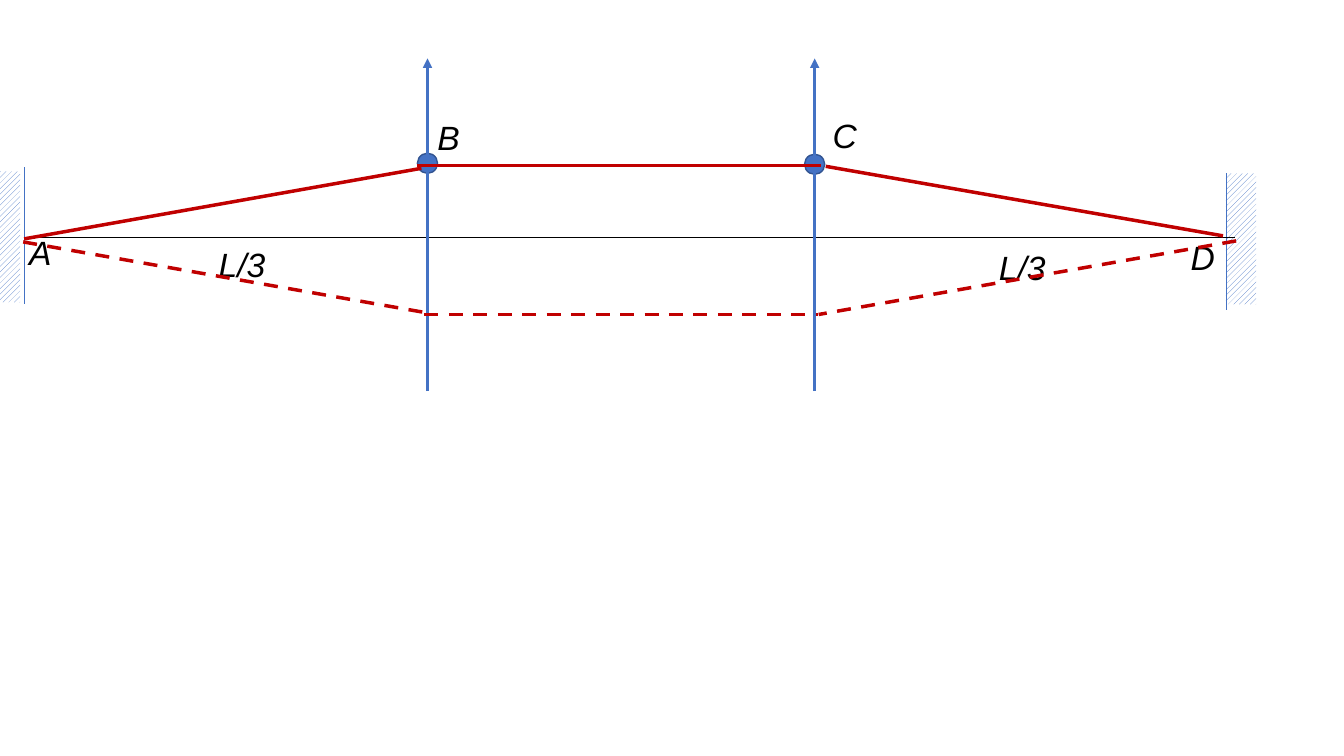
from dataclasses import dataclass

from lxml.etree import SubElement
from pptx import Presentation
from pptx.dml.color import RGBColor
from pptx.enum.dml import MSO_LINE, MSO_PATTERN
from pptx.enum.shapes import MSO_CONNECTOR, MSO_SHAPE
from pptx.enum.text import MSO_AUTO_SIZE
from pptx.oxml.ns import qn
from pptx.util import Inches, Pt


@dataclass(frozen=True)
class Theme:
    blue: RGBColor = RGBColor(0x44, 0x72, 0xC4)
    outline: RGBColor = RGBColor(0x32, 0x54, 0x91)
    red: RGBColor = RGBColor(0xC0, 0x00, 0x00)
    black: RGBColor = RGBColor(0x00, 0x00, 0x00)
    white: RGBColor = RGBColor(0xFF, 0xFF, 0xFF)
    font: str = "Arial"
    label_size: int = 24
    hairline: float = 0.5
    bead_line: float = 1
    axis_line: float = 2.25
    string_line: float = 2.5


class Diagram:
    def __init__(self, page, theme):
        self.page = page
        self.theme = theme

    def line(self, start, end, color, width, dash=None, arrow=False, group=None):
        shapes = (group or self.page).shapes
        points = [Inches(value) for value in (*start, *end)]
        connector = shapes.add_connector(MSO_CONNECTOR.STRAIGHT, *points)
        connector.line.color.rgb = color
        connector.line.width = Pt(width)
        if dash:
            connector.line.dash_style = dash
        properties = connector.element.spPr
        if arrow:
            SubElement(properties.find(qn("a:ln")), qn("a:tailEnd"), type="triangle")
        SubElement(properties, qn("a:effectLst"))

    def shape(self, kind, left, top, width, height):
        shape = self.page.shapes.add_shape(
            kind, Inches(left), Inches(top), Inches(width), Inches(height))
        shape.shadow.inherit = False
        return shape

    def wall(self, left, top, edge_x, edge_top):
        hatch = self.shape(MSO_SHAPE.RECTANGLE, left, top, 0.3, 1.3)
        hatch.fill.patterned()
        hatch.fill.pattern = MSO_PATTERN.WIDE_UPWARD_DIAGONAL
        hatch.fill.fore_color.rgb = self.theme.blue
        hatch.fill.back_color.rgb = self.theme.white
        hatch.line.fill.background()
        self.line((edge_x, edge_top), (edge_x, edge_top + 1.36),
                  self.theme.blue, self.theme.hairline)

    def bead(self, left, top):
        bead = self.shape(MSO_SHAPE.OVAL, left, top, 0.2, 0.2)
        bead.fill.solid()
        bead.fill.fore_color.rgb = self.theme.blue
        bead.line.color.rgb = self.theme.outline
        bead.line.width = Pt(self.theme.bead_line)

    def label(self, text, left, top, width, wrap=False):
        box = self.page.shapes.add_textbox(
            Inches(left), Inches(top), Inches(width), Inches(0.5))
        frame = box.text_frame
        frame.word_wrap = wrap
        frame.auto_size = MSO_AUTO_SIZE.SHAPE_TO_FIT_TEXT
        span = frame.paragraphs[0].add_run()
        span.text = text
        style = {"name": self.theme.font, "size": Pt(self.theme.label_size), "italic": True}
        for name, value in style.items():
            setattr(span.font, name, value)
        span.font.color.rgb = self.theme.black

    def string(self, segments, dash=None):
        group = self.page.shapes.add_group_shape()
        for start, end in segments:
            self.line(start, end, self.theme.red, self.theme.string_line, dash, group=group)


def main():
    deck = Presentation()
    deck.slide_width = Inches(13.33)
    deck.slide_height = Inches(7.5)
    theme = Theme()
    diagram = Diagram(deck.slides.add_slide(deck.slide_layouts[6]), theme)

    # Fixed walls and the rest position between them
    diagram.wall(-0.1, 1.7, 0.24, 1.66)
    diagram.wall(12.16, 1.72, 12.16, 1.72)
    diagram.line((0.25, 2.35), (12.25, 2.35), theme.black, theme.hairline)

    # Beads and their vertical axes
    for x, bead_top in ((4.24, 1.52), (8.08, 1.53)):
        diagram.bead(x - 0.1, bead_top)
        diagram.line((x, 3.88), (x, 0.58), theme.blue, theme.axis_line, arrow=True)

    # Point and length labels
    diagram.label("L/3", 9.81, 2.4, 1.26, wrap=True)
    for text, left, top, width in (
        ("L/3", 2.07, 2.37, 0.67),
        ("A", 0.19, 2.25, 0.43),
        ("B", 4.24, 1.11, 0.43),
        ("C", 8.16, 1.09, 0.45),
        ("D", 11.71, 2.3, 0.45),
    ):
        diagram.label(text, left, top, width)

    # String raised (solid) and lowered (dashed)
    diagram.string([
        ((0.24, 2.37), (4.18, 1.67)),
        ((4.14, 1.64), (8.14, 1.64)),
        ((12.13, 2.34), (8.19, 1.65)),
    ])
    diagram.string([
        ((0.23, 2.4), (4.27, 3.11)),
        ((4.21, 3.12), (8.11, 3.12)),
        ((12.26, 2.39), (8.12, 3.12)),
    ], MSO_LINE.DASH)

    deck.save("out.pptx")


if __name__ == "__main__":
    main()
